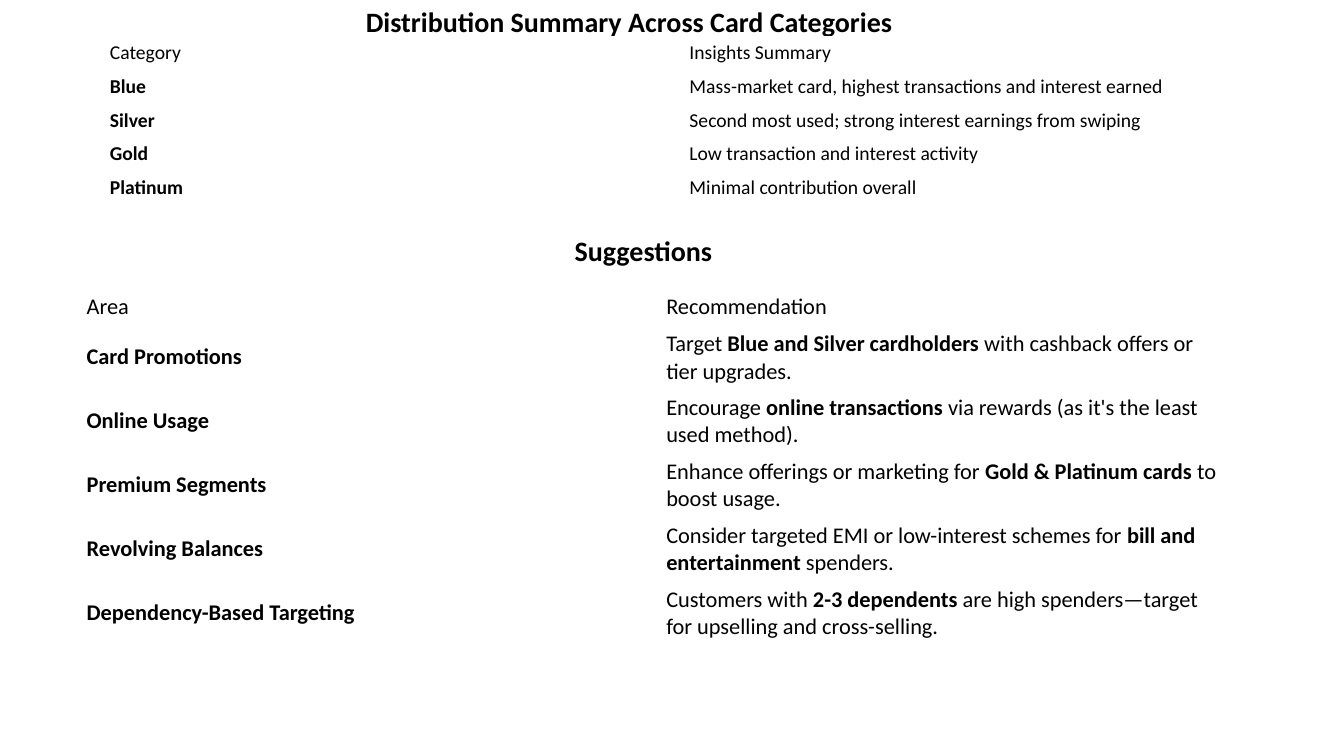
from dataclasses import dataclass

from pptx import Presentation
from pptx.dml.color import RGBColor
from pptx.enum.text import MSO_ANCHOR, MSO_AUTO_SIZE, PP_ALIGN
from pptx.slide import Slide
from pptx.text.text import TextFrame
from pptx.util import Pt

FONT = "Calibri"
BLACK = "000000"
COLUMN_WIDTH = 414
HEADING_WIDTH = 480
HEADING_HEIGHT = 31.5


@dataclass
class Heading:
    text: str
    left: float
    top: float
    align: PP_ALIGN


@dataclass
class SummaryTable:
    """Rows hold a label and a statement; ** switches bold on and off."""
    left: float
    top: float
    size: float
    header_height: float
    row_height: float
    rows: list[tuple[str, str]]


HEADINGS = [
    Heading("**Distribution Summary Across Card Categories**", 254.2, 0, PP_ALIGN.LEFT),
    Heading("**Suggestions**", 219.6, 163.4, PP_ALIGN.CENTER),
]

TABLES = [
    SummaryTable(71.3, 25.9, 14, 24, 24, [
        ("Category", "Insights Summary"),
        ("**Blue**", "Mass-market card, highest transactions and interest earned"),
        ("**Silver**", "Second most used; strong interest earnings from swiping"),
        ("**Gold**", "Low transaction and interest activity"),
        ("**Platinum**", "Minimal contribution overall"),
    ]),
    SummaryTable(54.7, 205.9, 16, 24, 41, [
        ("Area", "Recommendation"),
        ("**Card Promotions**",
         "Target **Blue and Silver cardholders** with cashback offers or tier upgrades."),
        ("**Online Usage**",
         "Encourage **online transactions** via rewards (as it's the least used method)."),
        ("**Premium Segments**",
         "Enhance offerings or marketing for **Gold & Platinum cards** to boost usage."),
        ("**Revolving Balances**",
         "Consider targeted EMI or low-interest schemes for "
         "**bill and entertainment** spenders."),
        ("**Dependency-Based Targeting**",
         "Customers with **2-3 dependents** are high spenders—target "
         "for upselling and cross-selling."),
    ]),
]


def color(value: str) -> RGBColor:
    return RGBColor.from_string(value)


def write_text(frame: TextFrame, text: str, *, size: float,
               align: PP_ALIGN = PP_ALIGN.LEFT) -> None:
    """Write one paragraph; parts between ** marks are bold."""
    paragraph = frame.paragraphs[0]
    paragraph.alignment = align
    for index, part in enumerate(text.split("**")):
        if part:
            run = paragraph.add_run()
            run.text = part
            run.font.name = FONT
            run.font.size = Pt(size)
            run.font.bold = index % 2 == 1
            run.font.color.rgb = color(BLACK)


def add_heading(slide: Slide, heading: Heading) -> None:
    shape = slide.shapes.add_textbox(Pt(heading.left), Pt(heading.top),
                                     Pt(HEADING_WIDTH), Pt(HEADING_HEIGHT))
    frame = shape.text_frame
    frame.word_wrap = True
    frame.auto_size = MSO_AUTO_SIZE.SHAPE_TO_FIT_TEXT
    write_text(frame, heading.text, size=20, align=heading.align)


def add_summary_table(slide: Slide, summary: SummaryTable) -> None:
    heights = [summary.header_height] + [summary.row_height] * (len(summary.rows) - 1)
    table = slide.shapes.add_table(len(summary.rows), 2, Pt(summary.left), Pt(summary.top),
                                   Pt(2 * COLUMN_WIDTH), Pt(sum(heights))).table
    table.first_row = False
    table.horz_banding = False
    for column in table.columns:
        column.width = Pt(COLUMN_WIDTH)
    for row, height, texts in zip(table.rows, heights, summary.rows):
        row.height = Pt(height)
        for cell, text in zip(row.cells, texts):
            cell.fill.background()
            cell.vertical_anchor = MSO_ANCHOR.MIDDLE
            write_text(cell.text_frame, text, size=summary.size)


def main() -> None:
    presentation = Presentation()
    presentation.slide_width = Pt(960)
    presentation.slide_height = Pt(540)
    slide = presentation.slides.add_slide(presentation.slide_layouts[6])
    for heading, summary in zip(HEADINGS, TABLES):
        add_heading(slide, heading)
        add_summary_table(slide, summary)
    presentation.save("out.pptx")


if __name__ == "__main__":
    main()
